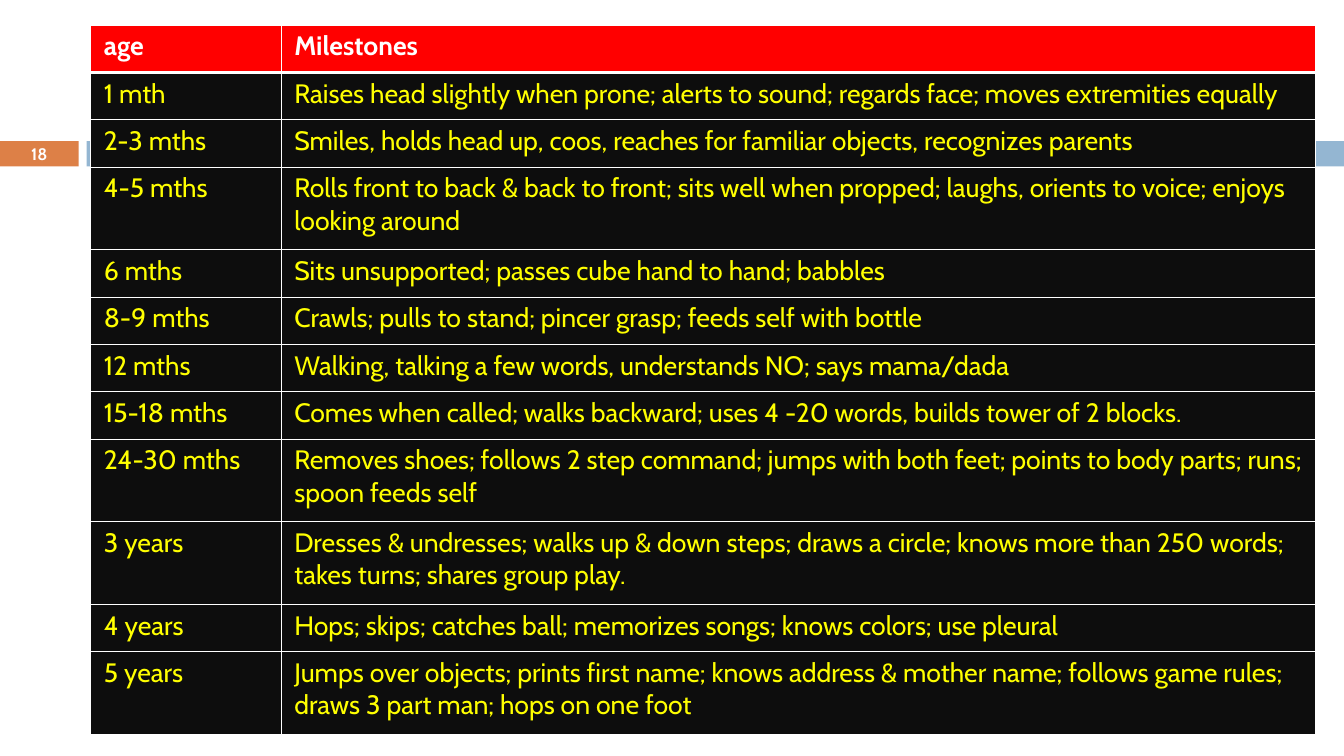
from dataclasses import dataclass

from lxml import etree
from pptx import Presentation
from pptx.dml.color import RGBColor
from pptx.enum.shapes import MSO_SHAPE
from pptx.enum.text import MSO_ANCHOR, PP_ALIGN
from pptx.oxml.ns import qn
from pptx.util import Inches, Pt

RECTANGLE = MSO_SHAPE.RECTANGLE
MIDDLE = MSO_ANCHOR.MIDDLE
CENTER = PP_ALIGN.CENTER
BLANK_LAYOUT = 6


@dataclass(frozen=True)
class Theme:
    font: str = "Cabin"
    table_size: float = 19
    number_size: float = 11.9
    white: str = "FFFFFF"
    orange: str = "DD8047"
    blue: str = "94B6D2"
    header_fill: str = "FF0000"
    body_fill: str = "0D0D0D"
    body_text: str = "FFFF00"
    thin_border: float = 1
    thick_border: float = 3


MILESTONES = [
    ("age", "Milestones"),
    ("1 mth", "Raises head slightly when prone; alerts to sound; regards face; "
              "moves extremities equally"),
    ("2-3 mths", "Smiles, holds head up, coos, reaches for familiar objects, "
                 "recognizes parents"),
    ("4-5 mths", "Rolls front to back & back to front; sits well when propped; "
                 "laughs, orients to voice; enjoys looking around"),
    ("6 mths", "Sits unsupported; passes cube hand to hand; babbles"),
    ("8-9 mths", "Crawls; pulls to stand; pincer grasp; feeds self with bottle"),
    ("12 mths", "Walking, talking a few words, understands NO; says mama/dada"),
    ("15-18 mths", "Comes when called; walks backward; uses 4 -20 words, "
                   "builds tower of 2 blocks."),
    ("24-30 mths", "Removes shoes; follows 2 step command; jumps with both feet; "
                   "points to body parts; runs; spoon feeds self"),
    ("3 years", "Dresses & undresses; walks up & down steps; draws a circle; "
                "knows more than 250 words; takes turns; shares group play."),
    ("4 years", "Hops; skips; catches ball; memorizes songs; knows colors; use pleural"),
    ("5 years", "Jumps over objects; prints first name; knows address & mother name; "
                "follows game rules; draws 3 part man; hops on one foot"),
]
COLUMN_WIDTHS = (1.89, 10.26)
SINGLE_LINE_HEIGHT = 0.47
DOUBLE_LINE_HEIGHT = 0.82
LINE_CAPACITY = 95  # characters that fit on one line of the wide column


def set_attributes(target, values):
    for name, value in values.items():
        setattr(target, name, value)


class SlideBuilder:
    def __init__(self, slide, theme):
        self.slide = slide
        self.theme = theme

    def format_text(self, paragraph, text, size, color, bold):
        run = paragraph.add_run()
        run.text = text
        set_attributes(run.font, {"name": self.theme.font, "size": Pt(size), "bold": bold})
        run.font.color.rgb = RGBColor.from_string(color)

    def bar(self, left, top, width, height, color):
        shape = self.slide.shapes.add_shape(
            RECTANGLE, Inches(left), Inches(top), Inches(width), Inches(height))
        shape.shadow.inherit = False
        shape.fill.solid()
        shape.fill.fore_color.rgb = RGBColor.from_string(color)
        shape.line.fill.background()

    def slide_number(self, text, left, top, width, height):
        box = self.slide.shapes.add_textbox(
            Inches(left), Inches(top), Inches(width), Inches(height))
        set_attributes(box.text_frame, {
            "word_wrap": True, "vertical_anchor": MIDDLE,
            "margin_top": 0, "margin_bottom": 0})
        paragraph = box.text_frame.paragraphs[0]
        paragraph.alignment = CENTER
        self.format_text(paragraph, text, self.theme.number_size, self.theme.white, True)

    def border(self, cell, side, width):
        properties = cell._tc.get_or_add_tcPr()
        line = etree.SubElement(properties, qn(f"a:ln{side}"), w=str(Pt(width)))
        fill = etree.SubElement(line, qn("a:solidFill"))
        etree.SubElement(fill, qn("a:srgbClr"), val=self.theme.white)

    def cell(self, cell, text, row_index):
        theme = self.theme
        is_header = row_index == 0
        set_attributes(cell, {
            "margin_left": Inches(0.13), "margin_right": Inches(0.13),
            "margin_top": Inches(0.05), "margin_bottom": Inches(0.05)})
        thick_side = {0: "B", 1: "T"}.get(row_index)
        for side in "LRTB":
            width = theme.thick_border if side == thick_side else theme.thin_border
            self.border(cell, side, width)
        cell.fill.solid()
        cell.fill.fore_color.rgb = RGBColor.from_string(
            theme.header_fill if is_header else theme.body_fill)
        self.format_text(cell.text_frame.paragraphs[0], text, theme.table_size,
                         theme.white if is_header else theme.body_text, is_header)

    def table(self, rows, left, top, column_widths):
        heights = [DOUBLE_LINE_HEIGHT if len(row[1]) > LINE_CAPACITY else SINGLE_LINE_HEIGHT
                   for row in rows]
        table = self.slide.shapes.add_table(
            len(rows), len(column_widths), Inches(left), Inches(top),
            Inches(sum(column_widths)), Inches(sum(heights))).table
        for column, width in zip(table.columns, column_widths):
            column.width = Inches(width)
        for row_index, (texts, height) in enumerate(zip(rows, heights)):
            table.rows[row_index].height = Inches(height)
            for column_index, text in enumerate(texts):
                self.cell(table.cell(row_index, column_index), text, row_index)


def main():
    presentation = Presentation()
    set_attributes(presentation, {"slide_width": Inches(13.33), "slide_height": Inches(7.5)})
    slide = presentation.slides.add_slide(presentation.slide_layouts[BLANK_LAYOUT])
    theme = Theme()
    builder = SlideBuilder(slide, theme)
    builder.bar(0, 1.4, 0.78, 0.25, theme.orange)
    builder.bar(0.86, 1.4, 12.47, 0.25, theme.blue)
    builder.table(MILESTONES, 0.9, 0.25, COLUMN_WIDTHS)
    builder.slide_number("18", 0, 1.39, 0.78, 0.27)
    presentation.save("out.pptx")


if __name__ == "__main__":
    main()
